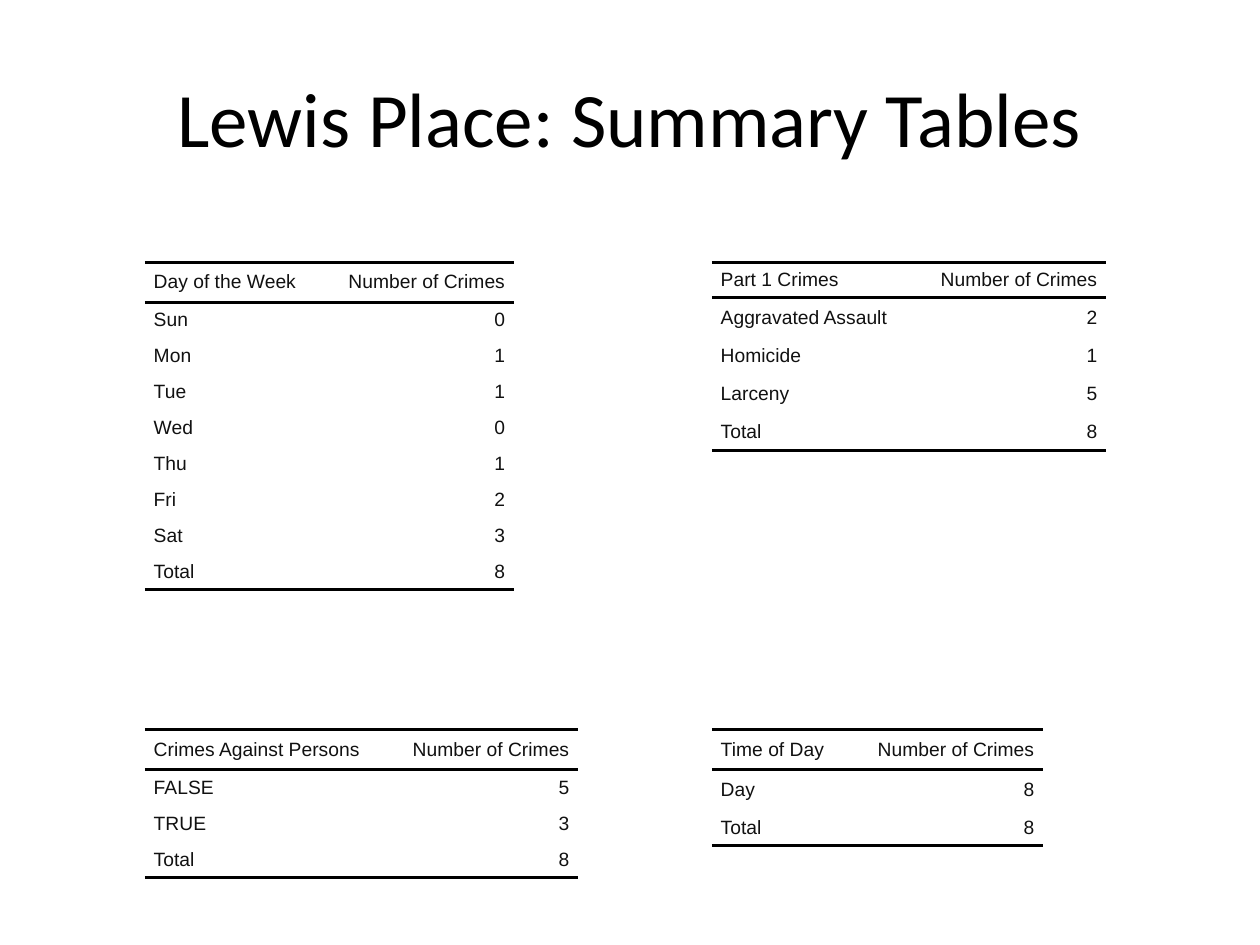
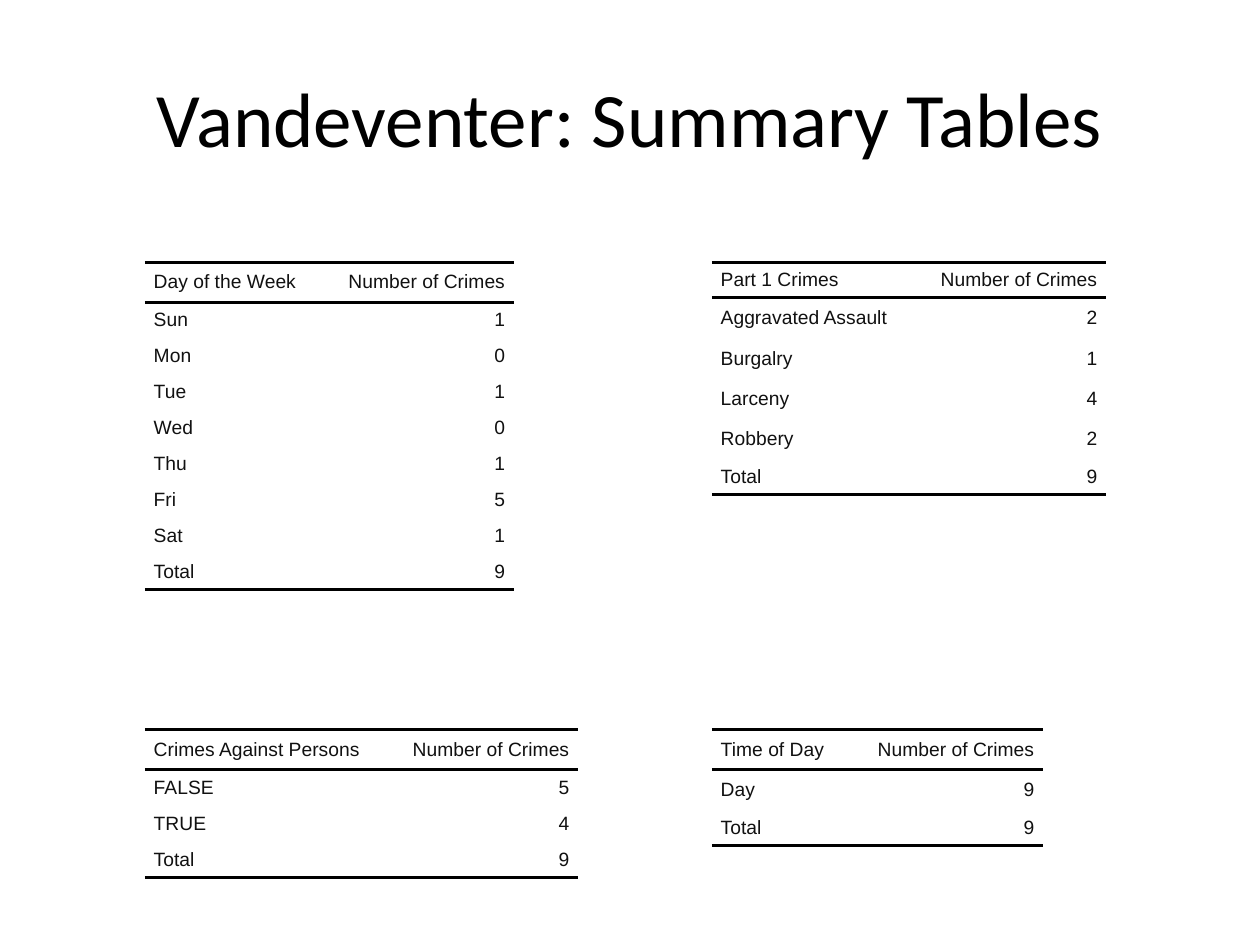
from dataclasses import dataclass

from lxml import etree
from pptx import Presentation
from pptx.dml.color import RGBColor
from pptx.enum.text import MSO_ANCHOR, PP_ALIGN
from pptx.oxml.ns import qn
from pptx.util import Inches, Pt

LEFT, RIGHT, CENTER = PP_ALIGN.LEFT, PP_ALIGN.RIGHT, PP_ALIGN.CENTER
MIDDLE = MSO_ANCHOR.MIDDLE
WIDE, HIGH = Inches(10), Inches(7.5)
PLAIN = "{2D5ABB26-0587-4C30-8999-92F81FD0307C}"  # table style without grid


@dataclass(frozen=True)
class Theme:
    title_font: str = "Calibri"
    body_font: str = "Arial"
    title_size: int = 44
    body_size: int = 11
    black: str = "000000"
    ink: str = "111111"
    rule: int = 2  # line weight, points
    gap: int = 2  # space above and below a cell's text, points
    inset: float = 0.07  # text indent on both sides, inches
    short: float = 20.5  # row heights, points
    tall: float = 23


@dataclass(frozen=True)
class Grid:
    left: float = 1.15
    top: float = 2.08
    col: float = 4.5
    row: float = 3.71
    count: float = 1.52  # width of every count column

    def spot(self, col: int, row: int) -> tuple[int, int]:
        return (Inches(self.left + col * self.col),
                Inches(self.top + row * self.row))


@dataclass(frozen=True)
class Tally:
    head: str
    col: int
    row: int
    width: float  # label column
    tall: tuple[int, ...]  # indices of the taller rows
    counts: dict[str, int]


@dataclass(frozen=True)
class Place:
    name: str
    tallies: tuple[Tally, ...]


THEME, GRID = Theme(), Grid()
DAYS = ("Sun", "Mon", "Tue", "Wed", "Thu", "Fri", "Sat")


def make_place(name: str, crimes: dict[str, int], tall: tuple[int, ...],
               days: tuple[int, ...], persons: tuple[int, int],
               hours: dict[str, int]) -> Place:
    return Place(name, (
        Tally("Part 1 Crimes", 1, 0, 1.61, tall, crimes),
        Tally("Day of the Week", 0, 0, 1.41, (0,), dict(zip(DAYS, days))),
        Tally("Crimes Against Persons", 0, 1, 1.92, (0,),
              dict(zip(("FALSE", "TRUE"), persons))),
        Tally("Time of Day", 1, 1, 1.11, (0, 1), hours),
    ))


PLACES = (
    make_place("Lewis Place",
               {"Aggravated Assault": 2, "Homicide": 1, "Larceny": 5},
               (1, 3), (0, 1, 1, 0, 1, 2, 3), (5, 3), {"Day": 8}),
    make_place("Vandeventer",
               {"Aggravated Assault": 2, "Burgalry": 1, "Larceny": 4,
                "Robbery": 2},
               (1, 2, 3, 4), (1, 0, 1, 0, 1, 5, 1), (5, 4), {"Day": 9}),
)


def set_font(para, name: str, size: int, color: str) -> None:
    font = para.font
    font.name, font.size = name, Pt(size)
    font.color.rgb = RGBColor.from_string(color)


def add_title(slide, text: str) -> None:
    box = slide.shapes.add_textbox(int(WIDE * 0.05), int(HIGH * 0.04),
                                   int(WIDE * 0.9), Inches(1.25))
    frame = box.text_frame
    frame.word_wrap = True
    frame.vertical_anchor = MIDDLE
    para = frame.paragraphs[0]
    para.text, para.alignment = text, CENTER
    set_font(para, THEME.title_font, THEME.title_size, THEME.black)


def add_edge(cell, side: str) -> None:
    props = cell._tc.get_or_add_tcPr()
    line = etree.SubElement(props, qn(f"a:ln{side}"), w=str(Pt(THEME.rule)))
    fill = etree.SubElement(line, qn("a:solidFill"))
    etree.SubElement(fill, qn("a:srgbClr"), val=THEME.black)


def fill_cell(cell, text: str, align, edges: str) -> None:
    cell.margin_left = cell.margin_right = 0
    cell.margin_top = cell.margin_bottom = 0
    cell.vertical_anchor = MIDDLE
    para = cell.text_frame.paragraphs[0]
    para.text, para.alignment = text, align
    para.space_before = para.space_after = Pt(THEME.gap)
    props = para._p.get_or_add_pPr()
    for side in ("marL", "marR"):
        props.set(side, str(Inches(THEME.inset)))
    set_font(para, THEME.body_font, THEME.body_size, THEME.ink)
    # Borders come before the fill in the cell's properties
    for side in edges:
        add_edge(cell, side)
    cell.fill.background()


def add_tally(slide, tally: Tally) -> None:
    total = sum(tally.counts.values())
    rows = [(tally.head, "Number of Crimes"), *tally.counts.items(),
            ("Total", total)]
    highs = [Pt(THEME.tall if i in tally.tall else THEME.short)
             for i in range(len(rows))]
    wides = [Inches(tally.width), Inches(GRID.count)]
    x, y = GRID.spot(tally.col, tally.row)
    table = slide.shapes.add_table(len(rows), len(wides), x, y,
                                   sum(wides), sum(highs)).table
    table.first_row = table.horz_banding = False
    table._tbl.tblPr.find(qn("a:tableStyleId")).text = PLAIN
    for col, wide in zip(table.columns, wides):
        col.width = wide
    edges = {0: "TB", len(rows) - 1: "B"}
    for i, (pair, high) in enumerate(zip(rows, highs)):
        table.rows[i].height = high
        for j, align in enumerate((LEFT, RIGHT)):
            fill_cell(table.cell(i, j), str(pair[j]), align,
                      edges.get(i, ""))


def main() -> None:
    deck = Presentation()
    deck.slide_width, deck.slide_height = WIDE, HIGH
    blank = deck.slide_layouts[6]
    for place in PLACES:
        slide = deck.slides.add_slide(blank)
        add_title(slide, f"{place.name}: Summary Tables")
        for tally in place.tallies:
            add_tally(slide, tally)
    deck.save("out.pptx")


if __name__ == "__main__":
    main()
